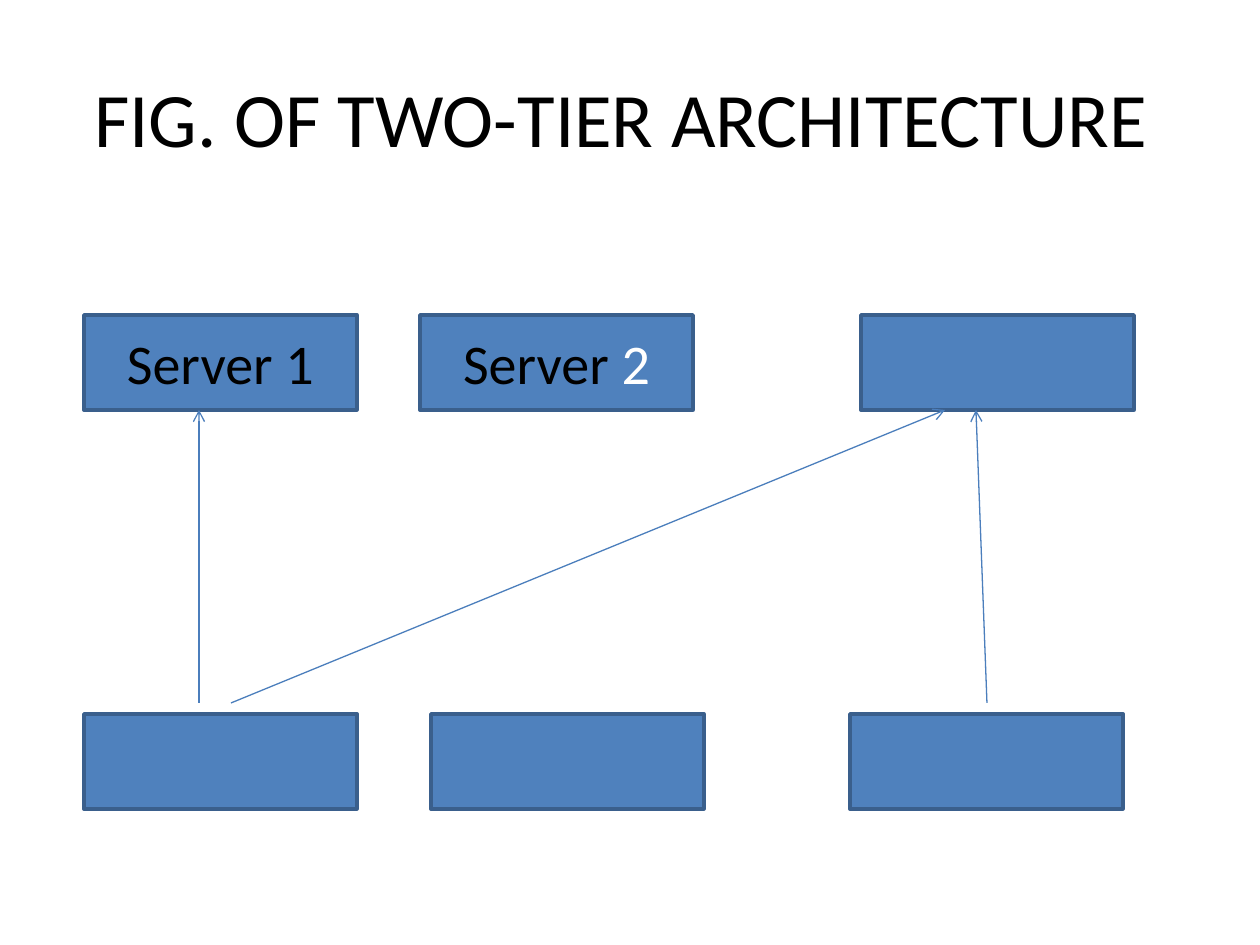
from lxml.etree import SubElement
from pptx import Presentation
from pptx.dml.color import RGBColor
from pptx.enum.shapes import MSO_CONNECTOR, MSO_SHAPE
from pptx.enum.text import MSO_ANCHOR, PP_ALIGN
from pptx.oxml.ns import qn
from pptx.util import Emu, Pt

COLORS = {
    "text": "000000",
    "light text": "FFFFFF",
    "box": "4F81BD",
    "border": "3A5F8C",
    "arrow": "4B7EBC",
}


def px(length):
    return Emu(round(length * 914400 / 126))


def write(frame, runs, size):
    frame.word_wrap = True
    frame.vertical_anchor = MSO_ANCHOR.MIDDLE
    paragraph = frame.paragraphs[0]
    paragraph.alignment = PP_ALIGN.CENTER
    for text, color in runs:
        run = paragraph.add_run()
        run.text = text
        run.font.name = "Calibri"
        run.font.size = Pt(size)
        run.font.color.rgb = RGBColor.from_string(COLORS[color])


prs = Presentation()
prs.slide_width, prs.slide_height = px(1260), px(945)
slide = prs.slides.add_slide(prs.slide_layouts[6])

# Title
title = slide.shapes.add_textbox(px(63), px(38), px(1134), px(157))
write(title.text_frame, [("FIG. OF TWO-TIER ARCHITECTURE ", "text")], 44)

# Servers in the upper tier, clients in the lower tier
SERVER_TOP, CLIENT_TOP = 315, 714
BOX_WIDTH, BOX_HEIGHT = 273, 95
boxes = [
    (84, SERVER_TOP, [("Server 1", "text")]),
    (420, SERVER_TOP, [("Server", "text"), (" 2", "light text")]),
    (861, SERVER_TOP, []),
    (84, CLIENT_TOP, []),
    (431, CLIENT_TOP, []),
    (850, CLIENT_TOP, []),
]
for left, top, label in boxes:
    box = slide.shapes.add_shape(
        MSO_SHAPE.RECTANGLE, px(left), px(top), px(BOX_WIDTH), px(BOX_HEIGHT))
    box.shadow.inherit = False
    box.fill.solid()
    box.fill.fore_color.rgb = RGBColor.from_string(COLORS["box"])
    box.line.color.rgb = RGBColor.from_string(COLORS["border"])
    box.line.width = Pt(2)
    if label:
        write(box.text_frame, label, 32)

# Arrows from just above the clients to the lower edge of the servers
ARROW_START, ARROW_END = 703, SERVER_TOP + BOX_HEIGHT
for client_x, server_x in [(199, 199), (231, 945), (987, 976)]:
    arrow = slide.shapes.add_connector(
        MSO_CONNECTOR.STRAIGHT,
        px(client_x), px(ARROW_START), px(server_x), px(ARROW_END))
    arrow.line.color.rgb = RGBColor.from_string(COLORS["arrow"])
    arrow.line.width = Pt(0.75)
    SubElement(arrow.line._get_or_add_ln(), qn("a:tailEnd"), type="arrow")
    SubElement(arrow._element.spPr, qn("a:effectLst"))

prs.save("out.pptx")
